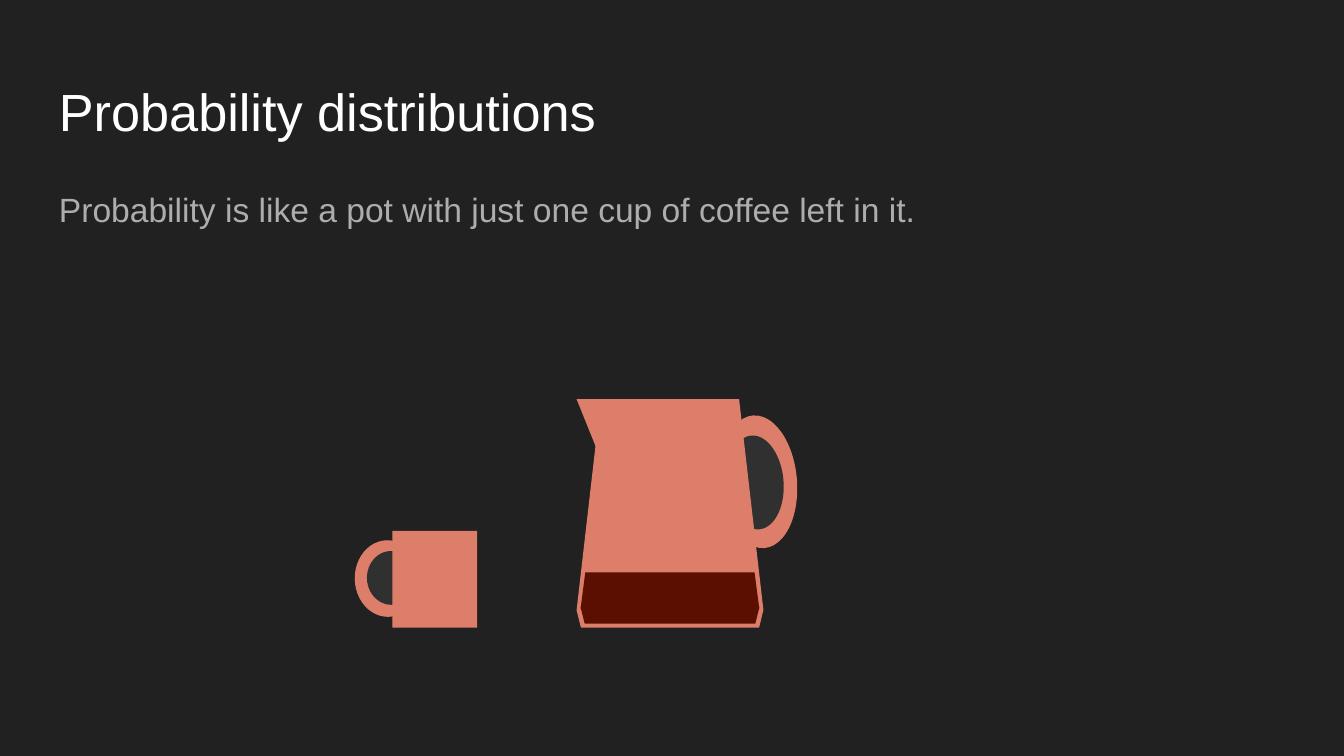
"""Build a slide on probability with a coffee cup and a pot."""
from pptx import Presentation
from pptx.dml.color import RGBColor
from pptx.enum.shapes import MSO_SHAPE as Kind
from pptx.enum.text import MSO_ANCHOR as Anchor
from pptx.util import Inches, Pt

BACK, CLAY, HOLE, BREW = "212121", "DD7E6B", "303030", "5B0F00"
TRAP, OVAL = Kind.TRAPEZOID, Kind.OVAL
WIDE = Inches(10)

TEXTS = [
    ("Probability distributions", (0.34, 0.49, 9.32, 0.63), 28, "FFFFFF", 1, 0),
    ("Probability is like a pot with just one cup of coffee left in it.",
     (0.34, 1.26, 9.32, 3.74), 18, "ADADAD", 1.15, 16),
]
POT = [
    (TRAP, (4.29, 4.54, 1.39, 0.13), 180, CLAY, 0.25),
    (Kind.RIGHT_TRIANGLE, (4.29, 2.97, 0.21, 0.52), 180, CLAY, None),
    (OVAL, (5.36, 3.09, 0.57, 0.99), 355, CLAY, None),
    (OVAL, (5.41, 3.24, 0.42, 0.7), 355.1, HOLE, None),
    (TRAP, (4.29, 2.97, 1.39, 1.57), 0, CLAY, 0.13),
    (TRAP, (4.32, 4.52, 1.33, 0.12), 180, BREW, 0.25),
    (TRAP, (4.32, 4.26, 1.33, 0.27), 0, BREW, 0.13),
]
CUP = [
    (OVAL, (2.64, 4.02, 0.49, 0.57), 178.7, CLAY, None),
    (OVAL, (2.73, 4.1, 0.36, 0.4), 178.7, HOLE, None),
    (Kind.RECTANGLE, (2.92, 3.95, 0.63, 0.72), 0, CLAY, None),
]


def paint(fill, color):
    """Fill with one solid colour."""
    fill.solid()
    fill.fore_color.rgb = RGBColor.from_string(color)


def write(slide, text, box, size, color, line, after):
    """Add one text box."""
    frame = slide.shapes.add_textbox(*map(Inches, box)).text_frame
    frame.word_wrap = True
    frame.vertical_anchor = Anchor.TOP
    frame.margin_left = frame.margin_right = Inches(0.1)
    frame.margin_top = frame.margin_bottom = Inches(0.1)
    para = frame.paragraphs[0]
    para.line_spacing = line
    para.space_after = Pt(after)
    run = para.add_run()
    run.text = text
    run.font.name = "Arial"
    run.font.size = Pt(size)
    paint(run.font.fill, color)


def draw(slide, parts):
    """Add one group of filled shapes."""
    group = slide.shapes.add_group_shape()
    for kind, box, turn, color, slant in parts:
        shape = group.shapes.add_shape(kind, *map(Inches, box))
        shape.shadow.inherit = False
        shape.rotation = turn
        shape.line.fill.background()
        paint(shape.fill, color)
        if slant is not None:
            shape.adjustments[0] = slant


def main():
    """Build and save the slide."""
    deck = Presentation()
    deck.slide_width, deck.slide_height = WIDE, WIDE * 9 // 16
    slide = deck.slides.add_slide(deck.slide_layouts[6])
    paint(slide.background.fill, BACK)
    for item in TEXTS:
        write(slide, *item)
    for parts in (POT, CUP):
        draw(slide, parts)
    deck.save("out.pptx")


if __name__ == "__main__":
    main()
